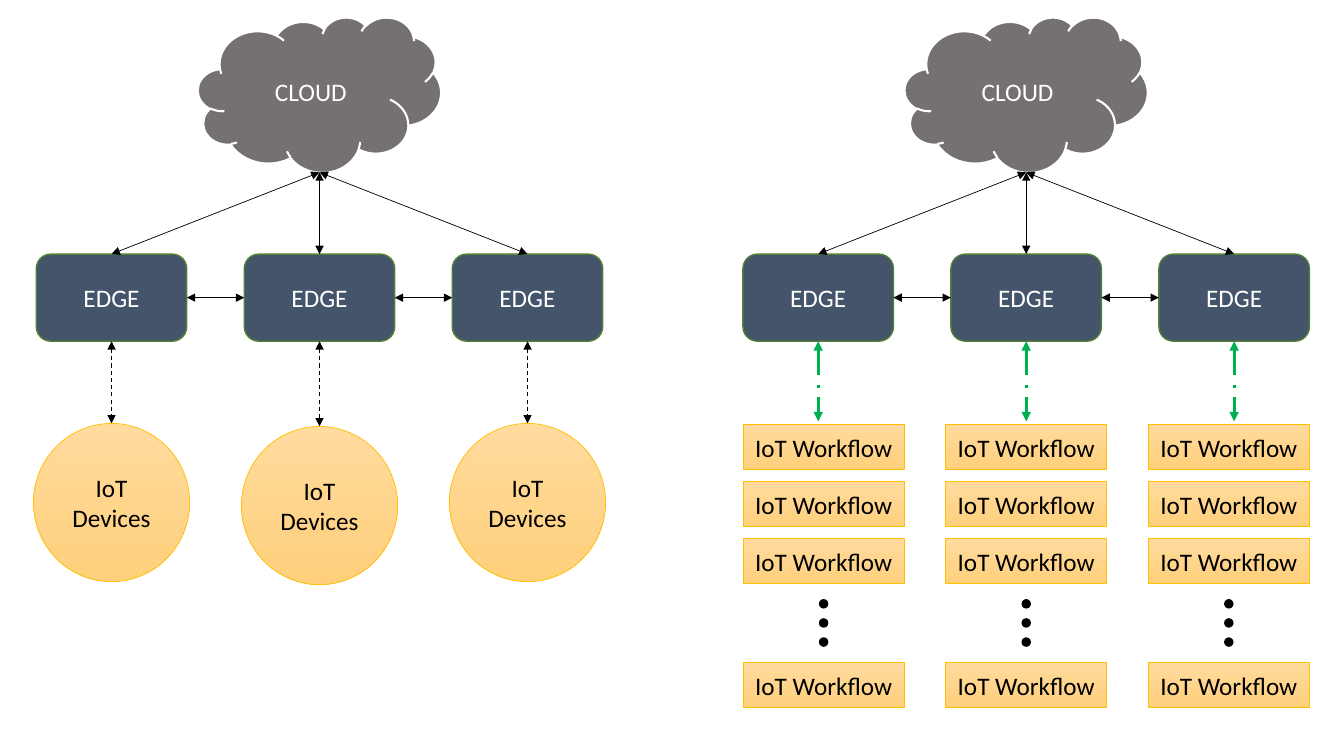
import lxml.etree
import pptx
import pptx.dml.color
import pptx.enum.dml
import pptx.enum.shapes
import pptx.enum.text
import pptx.oxml.ns
import pptx.util

RGB = pptx.dml.color.RGBColor
SHAPE = pptx.enum.shapes.MSO_SHAPE
DASH = pptx.enum.dml.MSO_LINE

WHITE = RGB(0xFF, 0xFF, 0xFF)
BLACK = RGB(0x00, 0x00, 0x00)
GRAY = RGB(0x76, 0x71, 0x71)
NAVY = RGB(0x44, 0x54, 0x6A)
EDGE_LINE = RGB(0x53, 0x80, 0x35)
GREEN = RGB(0x00, 0xB0, 0x50)
GOLD = RGB(0xFF, 0xC0, 0x00)
PEACH = [RGB(0xFF, 0xDB, 0x9E), RGB(0xFF, 0xD0, 0x7C)]

prs = pptx.Presentation()
prs.slide_width = pptx.util.Inches(13.33)
prs.slide_height = pptx.util.Inches(7.5)


# All lengths are percentages of the slide's width or height
def px(share):
    return round(prs.slide_width * share / 100)


def py(share):
    return round(prs.slide_height * share / 100)


def add_node(shapes, kind, box, fill, line, weight, text="", color=BLACK):
    x, y, w, h = box
    sp = shapes.add_shape(kind, px(x), py(y), px(w), py(h))
    sp.shadow.inherit = False
    if isinstance(fill, RGB):
        sp.fill.solid()
        sp.fill.fore_color.rgb = fill
    else:
        sp.fill.gradient()
        sp.fill.gradient_angle = 270
        for stop, stop_color in zip(sp.fill.gradient_stops, fill):
            stop.color.rgb = stop_color
    sp.line.color.rgb = line
    sp.line.width = pptx.util.Pt(weight)
    if text:
        tf = sp.text_frame
        tf.text = text
        tf.word_wrap = True
        tf.vertical_anchor = pptx.enum.text.MSO_ANCHOR.MIDDLE
        p = tf.paragraphs[0]
        p.alignment = pptx.enum.text.PP_ALIGN.CENTER
        font = p.runs[0].font
        font.name = "Calibri"
        font.size = pptx.util.Pt(18)
        font.color.rgb = color


def add_arrow(shapes, start, end, color=BLACK, weight=0.5, dash=None):
    cxn = shapes.add_connector(pptx.enum.shapes.MSO_CONNECTOR.STRAIGHT,
                               px(start[0]), py(start[1]), px(end[0]), py(end[1]))
    cxn.line.color.rgb = color
    cxn.line.width = pptx.util.Pt(weight)
    if dash:
        cxn.line.dash_style = dash
    ln = cxn.line._get_or_add_ln()
    for tag in ("a:headEnd", "a:tailEnd"):
        lxml.etree.SubElement(ln, pptx.oxml.ns.qn(tag), type="triangle")
    lxml.etree.SubElement(cxn._element.spPr, pptx.oxml.ns.qn("a:effectLst"))


def three_columns(box, item_w):
    """Left edges of three equal items spread over the box."""
    return [box[0] + i * (box[2] - item_w) / 2 for i in range(3)]


EDGE_W, EDGE_H = 11.2, 11.53


def draw_cloud_and_edges(shapes, box):
    x, y, w, h = box
    mid = x + w / 2
    cloud_w, cloud_h = 18.08, 20.53
    edge_y = y + h - EDGE_H
    lefts = three_columns(box, EDGE_W)

    # Cloud and edge nodes
    add_node(shapes, SHAPE.CLOUD, (mid - cloud_w / 2, y, cloud_w, cloud_h),
             GRAY, WHITE, 1.5, "CLOUD", WHITE)
    for left in lefts:
        add_node(shapes, SHAPE.FLOWCHART_ALTERNATE_PROCESS,
                 (left, edge_y, EDGE_W, EDGE_H), NAVY, EDGE_LINE, 1, "EDGE", WHITE)

    # Links from the cloud, then between neighbouring edges
    for left in lefts:
        add_arrow(shapes, (mid, y + cloud_h), (left + EDGE_W / 2, edge_y))
    link_y = edge_y + EDGE_H / 2
    for left, following in zip(lefts, lefts[1:]):
        add_arrow(shapes, (left + EDGE_W, link_y), (following, link_y))


def draw_devices(shapes, box):
    size_w, size_h = 11.62, 20.93
    gaps = (10.87, 11.27, 10.87)
    for left, gap in zip(three_columns(box, EDGE_W), gaps):
        mid, top = left + EDGE_W / 2, box[1] + gap
        add_arrow(shapes, (mid, box[1]), (mid, top), weight=0.75, dash=DASH.DASH)
        add_node(shapes, SHAPE.OVAL, (mid - size_w / 2, top, size_w, size_h),
                 PEACH, GOLD, 0.5, "IoT Devices")


def draw_workflows(shapes, box):
    y, h = box[1], box[3]
    item_w, item_h, pitch, gap = 12, 6, 7.53, 11
    dot_w, dot_h, dot_pitch, dots_y = 0.6, 1.07, 2.53, y + 34.2

    # Links from the edges
    for left in three_columns(box, EDGE_W):
        mid = left + EDGE_W / 2
        add_arrow(shapes, (mid, y), (mid, y + gap - 0.4), GREEN, 2.25,
                  DASH.LONG_DASH_DOT)

    # Three workflows, an ellipsis of dots, and the last workflow
    tops = [y + gap + i * pitch for i in range(3)] + [y + h - item_h]
    for left in three_columns(box, item_w):
        for top in tops:
            add_node(shapes, SHAPE.RECTANGLE, (left, top, item_w, item_h),
                     PEACH, GOLD, 0.5, "IoT Workflow")
        for i in range(3):
            add_node(shapes, SHAPE.OVAL,
                     (left + (item_w - dot_w) / 2, dots_y + i * dot_pitch, dot_w, dot_h),
                     BLACK, BLACK, 1)


def draw_architecture(slide, box, draw_lower):
    x, y, w, h = box
    upper_h = 42.87
    shapes = slide.shapes.add_group_shape().shapes
    draw_cloud_and_edges(shapes, (x, y, w, upper_h))
    draw_lower(shapes, (x, y + upper_h, w, h - upper_h))


slide = prs.slides.add_slide(prs.slide_layouts[6])
for x, draw_lower in ((55.28, draw_workflows), (2.7, draw_devices)):
    draw_architecture(slide, (x, 2.27, 42.15, 91.35), draw_lower)

prs.save("out.pptx")
